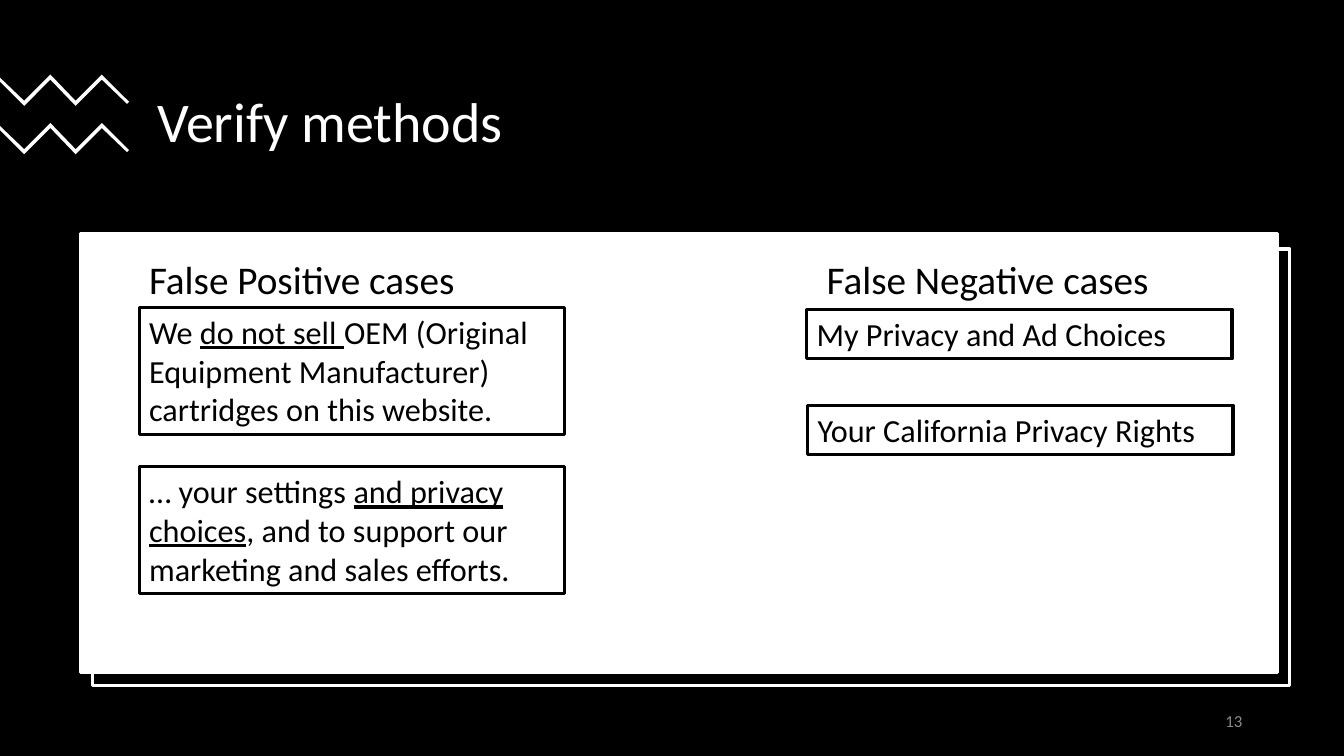
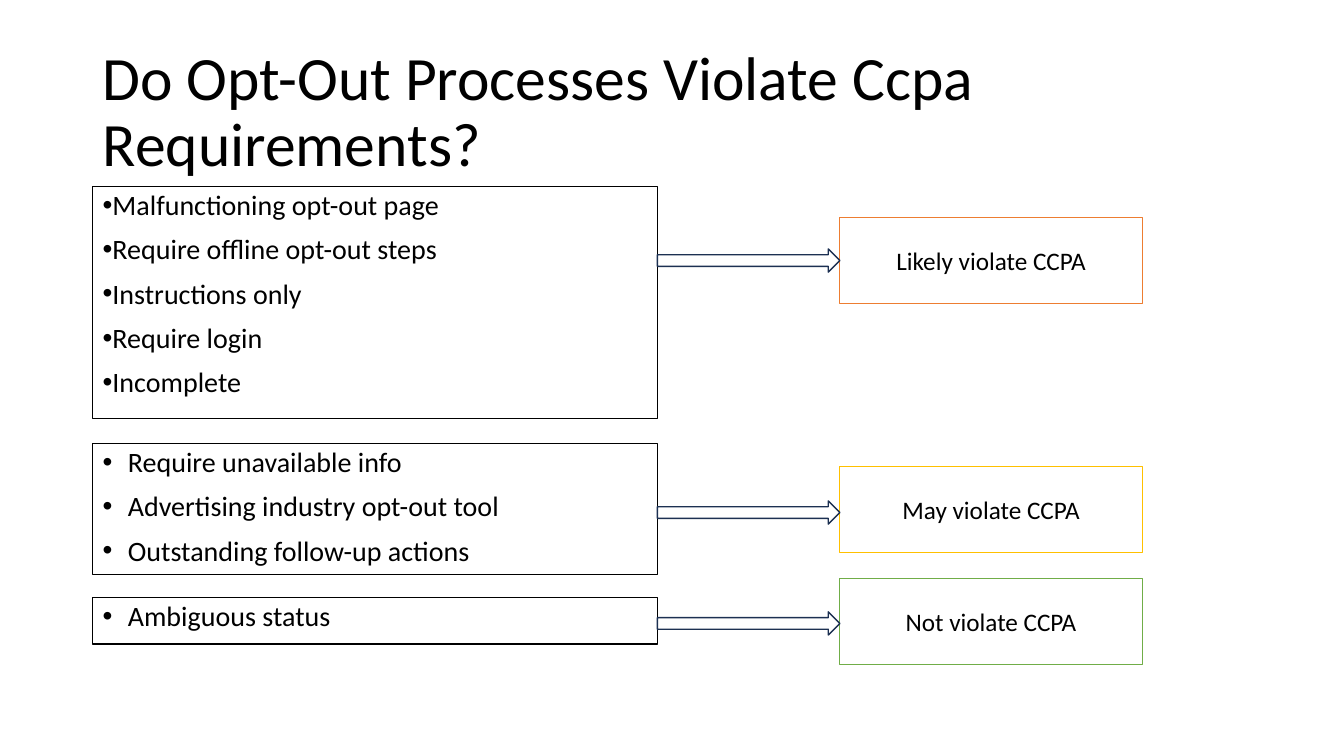
from lxml import etree
from pptx import Presentation
from pptx import util as u
from pptx.dml.color import RGBColor
from pptx.enum import shapes, text
from pptx.oxml.ns import qn

PX = 9144
BLACK, WHITE, GREY, NAVY = "000000", "FFFFFF", "8C8C8C", "1C3052"
ORANGE, YELLOW, GREEN = "ED7D31", "FFC000", "70AD47"
FONT = "Calibri"
RECT, ARROW = shapes.MSO_SHAPE.RECTANGLE, shapes.MSO_SHAPE.RIGHT_ARROW
TOP, MIDDLE = text.MSO_ANCHOR.TOP, text.MSO_ANCHOR.MIDDLE
LEFT, CENTER, RIGHT = text.PP_ALIGN.LEFT, text.PP_ALIGN.CENTER, text.PP_ALIGN.RIGHT


def rgb(value):
    return RGBColor.from_string(value)


def box(s, at, paras=(), fill=None, line=None, width=1, kind=RECT, size=20,
        color=BLACK, anchor=TOP, align=LEFT, spacing=1.0, before=0, indent=None):
    sp = s.shapes.add_shape(kind, *[v * PX for v in at])
    sp.shadow.inherit = False
    if fill:
        sp.fill.solid()
        sp.fill.fore_color.rgb = rgb(fill)
    else:
        sp.fill.background()
    if line:
        sp.line.color.rgb = rgb(line)
        sp.line.width = u.Pt(width)
    else:
        sp.line.fill.background()
    tf = sp.text_frame
    tf.word_wrap = True
    tf.vertical_anchor = anchor
    for i, runs in enumerate(paras):
        p = tf.add_paragraph() if i else tf.paragraphs[0]
        fmt = {"alignment": align, "line_spacing": spacing,
               "space_before": u.Pt(before if i else 0)}
        for name, value in fmt.items():
            setattr(p, name, value)
        if indent is not None:
            pPr = p._p.get_or_add_pPr()
            pPr.set("marL", str(indent * PX))
            pPr.set("indent", str(-indent * PX))
            etree.SubElement(pPr, qn("a:buFont")).set("typeface", "Arial")
            etree.SubElement(pPr, qn("a:buChar")).set("char", "•")
        for j, part in enumerate([runs] if isinstance(runs, str) else runs):
            r = p.add_run()
            r.text = part
            font = {"name": FONT, "size": u.Pt(size), "underline": j % 2 == 1}
            for name, value in font.items():
                setattr(r.font, name, value)
            r.font.color.rgb = rgb(color)
    return sp


prs = Presentation()
prs.slide_width, prs.slide_height = 1333 * PX, 750 * PX
blank = prs.slide_layouts[6]
title = {"anchor": MIDDLE, "spacing": 0.9}

s = prs.slides.add_slide(blank)
s.background.fill.solid()
s.background.fill.fore_color.rgb = rgb(BLACK)
box(s, (146, 62, 1066, 123), ["Verify methods"], size=40, color=WHITE, **title)

zigzag = [(50, 0), (75, 26), (101, 0), (128, 27), (126, 29), (101, 5),
          (75, 31), (50, 5), (24, 31), (0, 7), (0, 3), (24, 26)]
for top in (74, 122):
    points = [(x, y + top) for x, y in zigzag]
    fb = s.shapes.build_freeform(*points[0], scale=PX)
    fb.add_line_segments(points[1:], close=True)
    sp = fb.convert_to_shape()
    sp.shadow.inherit = False
    sp.fill.solid()
    sp.fill.fore_color.rgb = rgb(WHITE)
    sp.line.fill.background()

box(s, (92, 247, 1187, 433), fill=BLACK, line=WHITE, width=2.25)
box(s, (80, 232, 1187, 435), fill=WHITE, line=WHITE, width=2.25)
box(s, (942, 695, 300, 40), ["13"], size=12, color=GREY, anchor=MIDDLE, align=RIGHT)

for x, heading in ((138, "False Positive cases"), (810, "False Negative cases")):
    box(s, (x, 248, 402, 57), [heading], size=28)

cases = [
    (138, 305, 126, ["We ", "do not sell ",
                     "OEM (Original Equipment Manufacturer) cartridges on this website."]),
    (138, 463, 126, ["… your settings ", "and privacy choices",
                     ", and to support our marketing and sales efforts."]),
    (800, 307, 49, ["My Privacy and Ad Choices"]),
    (801, 402, 49, ["Your California Privacy Rights"]),
]
for x, y, h, runs in cases:
    box(s, (x, y, 422, h), [runs], line=BLACK, width=2.25, size=23)

s = prs.slides.add_slide(blank)
box(s, (92, 40, 1150, 145), ["Do Opt-Out Processes Violate Ccpa Requirements?"],
    fill=WHITE, size=44, **title)

groups = [
    (185, 230, 0, 216, 247, ORANGE, "Likely violate CCPA",
     ["Malfunctioning opt-out page", "Require offline opt-out steps",
      "Instructions only", "Require login", "Incomplete"]),
    (440, 130, 25, 463, 497, YELLOW, "May violate CCPA",
     ["Require unavailable info", "Advertising industry opt-out tool",
      "Outstanding follow-up actions"]),
    (593, 46, 25, 574, 607, GREEN, "Not violate CCPA", ["Ambiguous status"]),
]
for y, h, indent, verdict_y, arrow_y, color, verdict, items in groups:
    box(s, (92, y, 560, h), items, fill=WHITE, line=BLACK,
        spacing=0.9, before=10, indent=indent)
    box(s, (833, verdict_y, 300, 85), [verdict], fill=WHITE, line=color, width=0.75,
        size=18, anchor=MIDDLE, align=CENTER)
    box(s, (652, arrow_y, 181, 23), fill=WHITE, line=NAVY, kind=ARROW)

prs.save("out.pptx")
